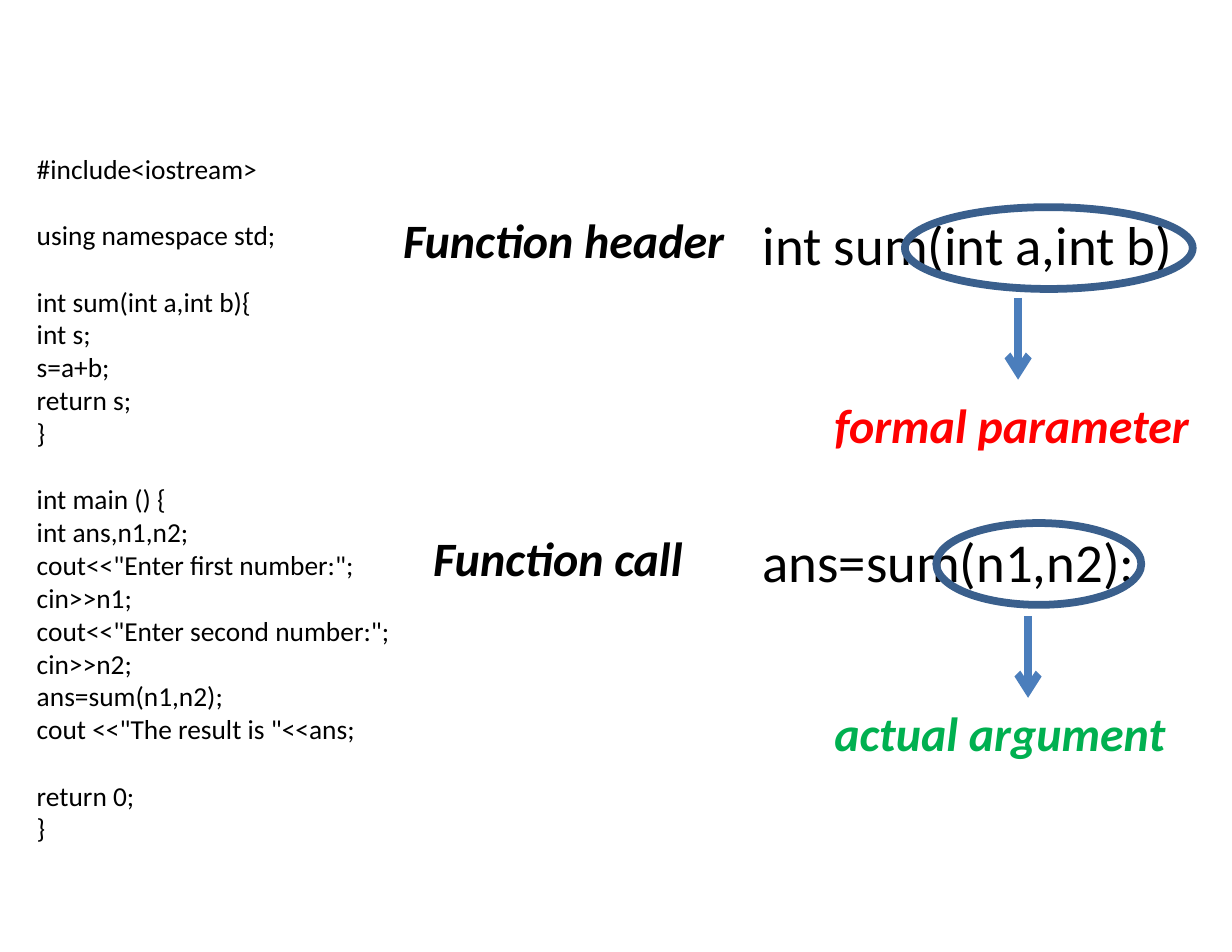
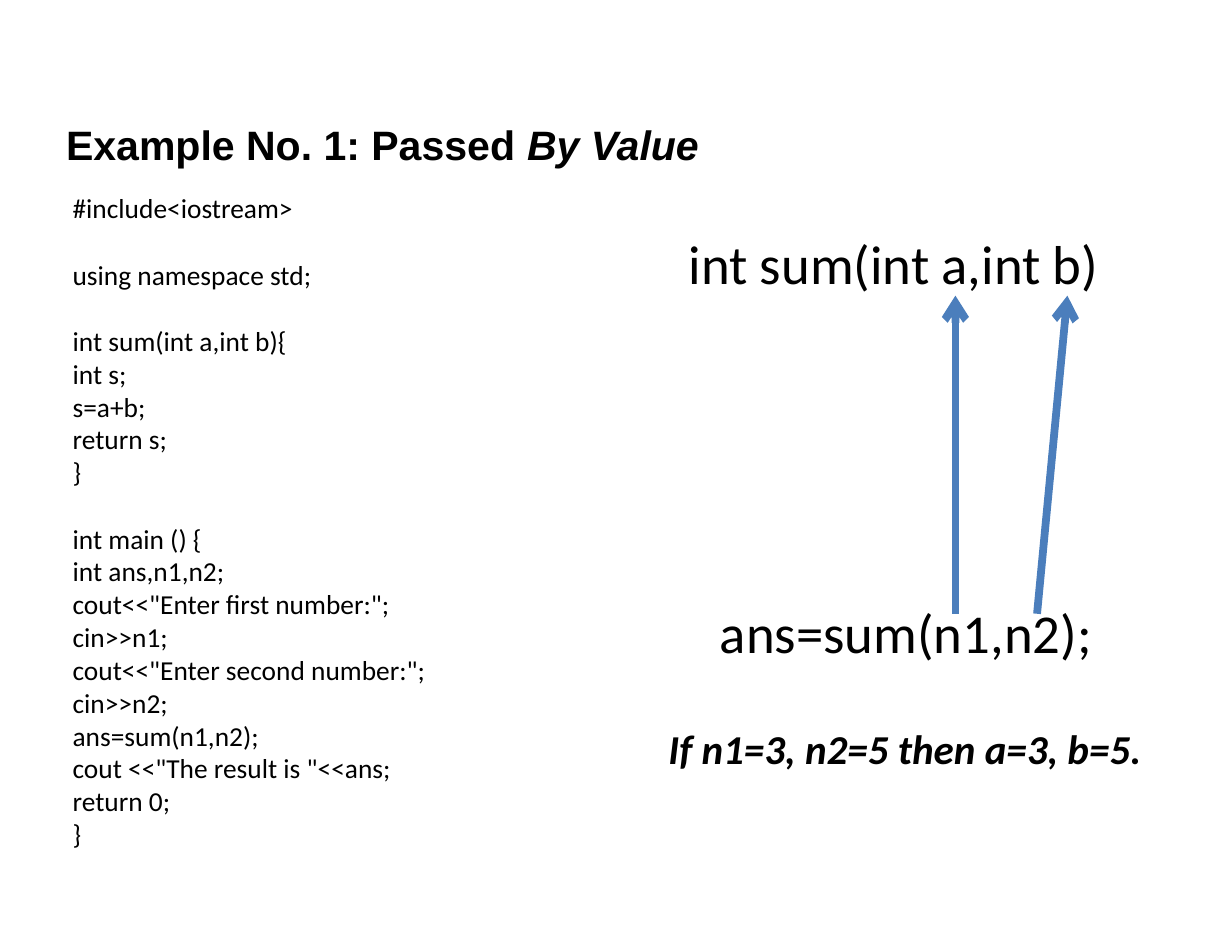
from dataclasses import dataclass

from lxml.etree import SubElement
from pptx import Presentation
from pptx.dml.color import RGBColor
from pptx.enum.shapes import MSO_CONNECTOR, MSO_SHAPE
from pptx.enum.text import MSO_ANCHOR, MSO_AUTO_SIZE, PP_ALIGN
from pptx.oxml.ns import qn
from pptx.util import Inches, Pt


@dataclass(frozen=True)
class Theme:
    body_font: str = "Calibri"
    title_font: str = "Arial"
    ink: str = "000000"
    formal: str = "FF0000"
    actual: str = "00B050"
    ring: str = "3A5F8C"
    arrow: str = "4B7EBC"
    code: float = 17.6
    title: float = 26.4
    label: float = 30.8
    formula: float = 35.2
    stroke: float = 5
    blank_line: float = 21.5


T = Theme()
WIDTH, HEIGHT = Inches(11), Inches(8.5)
HEADER = "int sum(int a,int b)"
CALL = "ans=sum(n1,n2);"
OPENING = [
    ["#include<iostream>"],
    ["using namespace std;"],
    [HEADER + "{", "int s;", "s=a+b;", "return s;", "}"],
]
MAIN = [
    "int main () {",
    "int ans,n1,n2;",
    'cout<<"Enter first number:";',
    "cin>>n1;",
    'cout<<"Enter second number:";',
    "cin>>n2;",
    CALL,
    'cout <<"The result is "<<ans;',
]
ENDING = ["return 0;", "}"]


def x(percent):
    return round(WIDTH * percent / 100)


def y(percent):
    return round(HEIGHT * percent / 100)


def place(left, top, width, height):
    return x(left), y(top), x(width), y(height)


def add_run(p, text, size, color=T.ink, font=T.body_font, bold=False, italic=False):
    r = p.add_run()
    r.text = text
    r.font.name = font
    r.font.size = Pt(size)
    r.font.bold = bold
    r.font.italic = italic
    r.font.color.rgb = RGBColor.from_string(color)


def add_box(slide, box, wrap=True):
    tf = slide.shapes.add_textbox(*place(*box)).text_frame
    tf.word_wrap = wrap
    tf.auto_size = MSO_AUTO_SIZE.SHAPE_TO_FIT_TEXT
    return tf


def add_code(slide, box, blocks):
    tf = add_box(slide, box)
    p = tf.paragraphs[0]
    for b, block in enumerate(blocks):
        for i, line in enumerate(block):
            if b or i:
                p = tf.add_paragraph()
            if b and not i:
                p.space_before = Pt(T.blank_line)
            add_run(p, line, T.code)


def add_formula(slide, left, top, text):
    tf = add_box(slide, (left, top, 36.6, 8.1))
    add_run(tf.paragraphs[0], text, T.formula)


def add_label(slide, box, text, color=T.ink, size=T.label):
    tf = add_box(slide, box, wrap=False)
    add_run(tf.paragraphs[0], text, size, color, bold=True, italic=True)


def add_ring(slide, box):
    sp = slide.shapes.add_shape(MSO_SHAPE.OVAL, *place(*box))
    sp.shadow.inherit = False
    sp.fill.background()
    sp.line.color.rgb = RGBColor.from_string(T.ring)
    sp.line.width = Pt(T.stroke)


def add_arrow(slide, start, end):
    cn = slide.shapes.add_connector(
        MSO_CONNECTOR.STRAIGHT, x(start[0]), y(start[1]), x(end[0]), y(end[1]))
    cn.line.color.rgb = RGBColor.from_string(T.arrow)
    cn.line.width = Pt(T.stroke)
    SubElement(cn.line._get_or_add_ln(), qn("a:tailEnd"), type="arrow")
    SubElement(cn._element.spPr, qn("a:effectLst"))


def set_title(slide, box, upright, slanted):
    sp = slide.shapes.title
    sp.left, sp.top, sp.width, sp.height = place(*box)
    tf = sp.text_frame
    tf.word_wrap = True
    tf.auto_size = MSO_AUTO_SIZE.NONE
    tf.vertical_anchor = MSO_ANCHOR.TOP
    p = tf.paragraphs[0]
    p.alignment = PP_ALIGN.LEFT
    add_run(p, upright, T.title, font=T.title_font, bold=True)
    add_run(p, slanted, T.title, font=T.title_font, bold=True, italic=True)


def build_parameters(prs):
    s = prs.slides.add_slide(prs.slide_layouts[6])
    add_code(s, (2.09, 15.41, 50, 77.9), OPENING + [MAIN, ENDING])
    add_formula(s, 61, 21.53, HEADER)
    add_formula(s, 61, 54.82, CALL)
    add_ring(s, (73.45, 21.76, 23.36, 8.59))
    add_ring(s, (76, 54.94, 16.64, 8.59))
    add_label(s, (31.82, 21.53, 28.2, 7.3), "Function header")
    add_label(s, (34.27, 54.94, 22.3, 7.3), "Function call")
    add_label(s, (66.82, 40.94, 30.9, 7.3), "formal parameter", T.formal)
    add_label(s, (66.82, 73.29, 29, 7.3), "actual argument", T.actual)
    for column, top in ((82.64, 31.29), (83.45, 64.71)):
        add_arrow(s, (column, top), (column, top + 8.59))


def build_by_value(prs):
    s = prs.slides.add_slide(prs.slide_layouts[5])
    set_title(s, (4.45, 12, 54.6, 6.5), "Example No. 1: Passed ", "By Value")
    add_code(s, (5, 19.53, 50, 74.35), OPENING + [MAIN + ENDING])
    add_formula(s, 55, 23.53, HEADER)
    add_formula(s, 57.55, 62.35, CALL)
    for argument, parameter in ((77.55, 77.55), (84.18, 86.64)):
        add_arrow(s, (argument, 64.47), (parameter, 31.06))
    add_label(s, (53.36, 75.41, 40.8, 6.5), "If n1=3, n2=5 then a=3, b=5.", size=T.title)


def main():
    prs = Presentation()
    prs.slide_width, prs.slide_height = WIDTH, HEIGHT
    build_parameters(prs)
    build_by_value(prs)
    prs.save("out.pptx")


if __name__ == "__main__":
    main()
